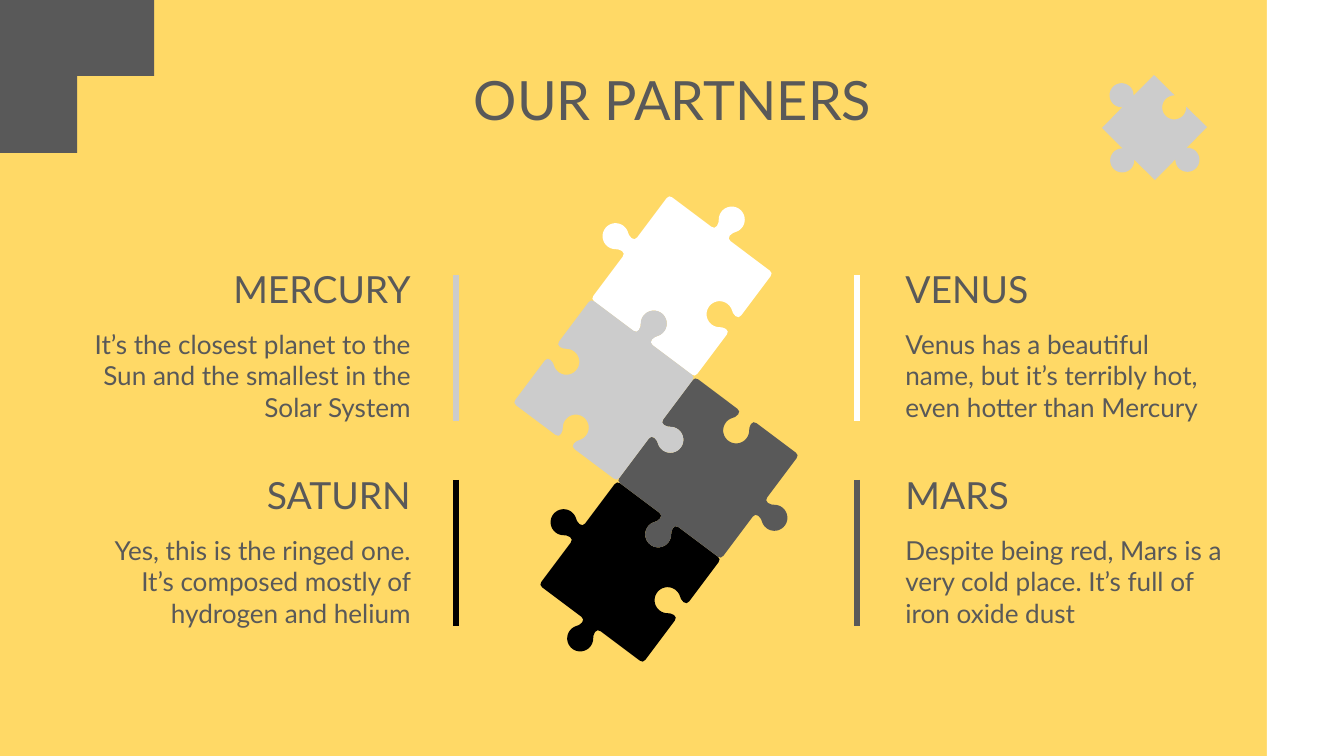
from math import cos, sin, hypot, radians
from pptx import Presentation
from pptx.dml.color import RGBColor
from pptx.enum.shapes import MSO_CONNECTOR as LINE, MSO_SHAPE as SHAPE
from pptx.enum.text import MSO_ANCHOR as ANCHOR, PP_ALIGN as ALIGN
from pptx.oxml.ns import qn
from pptx.util import Emu, Pt

PX = 914400 / 67.2
THEME = {
    "back": RGBColor(0xFF, 0xD9, 0x66),
    "dark": RGBColor(0x59, 0x59, 0x59),
    "grey": RGBColor(0xCC, 0xCC, 0xCC),
    "white": RGBColor(0xFF, 0xFF, 0xFF),
    "black": RGBColor(0, 0, 0),
    "font": "Lato", "title": 58, "head": 40, "body": 28, "rule": 6,
}

prs = Presentation()
prs.slide_width, prs.slide_height = Emu(18288000), Emu(10287000)
slide = prs.slides.add_slide(prs.slide_layouts[6])
slide.background.fill.solid()
slide.background.fill.fore_color.rgb = THEME["back"]
shapes = slide.shapes


def put_text(text, x, y, w, h, size, align=ALIGN.LEFT, anchor=ANCHOR.MIDDLE):
    box = shapes.add_textbox(*(Emu(round(n * PX)) for n in (x, y, w, h)))
    frame = box.text_frame
    frame.word_wrap = True
    frame.vertical_anchor = anchor
    frame.margin_left = frame.margin_right = Emu(182880)
    frame.margin_top = frame.margin_bottom = Emu(182880)
    par = frame.paragraphs[0]
    par.alignment = align
    run = par.add_run()
    run.text = text
    run.font.name = THEME["font"]
    run.font.size = Pt(THEME[size])
    run.font.color.rgb = THEME["dark"]


def add_piece(top, side, knobs, color, radius, rise, start, neck=(), cut=0):
    """Draw a tilted jigsaw piece, clockwise from its top corner.

    side is the vector of the first edge; knobs holds 1 for a tab and -1 for
    a socket on each edge. A knob is a circle, rise above the edge, that
    begins start degrees below its widest part, after the points of neck.
    """
    arc = [(radius * cos(radians(a)), rise + radius * sin(radians(a)))
           for a in (180 + start - i * (180 + 2 * start) / 32 for i in range(33))]
    knob = [(-x, y) for x, y in neck] + arc + list(reversed(neck))
    (x, y), (dx, dy) = top, side
    points = []
    for sign in knobs:
        size = hypot(dx, dy)
        ex, ey = dx / size, dy / size
        local = [(cut / 4, -cut / 4), (cut, 0)]
        local += [(size / 2 + a, sign * b) for a, b in knob]
        local += [(size - cut, 0)]
        points += [(round((x + a * ex + b * ey) * PX),
                    round((y + a * ey - b * ex) * PX)) for a, b in local]
        x, y, dx, dy = x + dx, y + dy, -dy, dx
    path = shapes.build_freeform(*points[0], scale=1.0)
    path.add_line_segments(points[1:], close=True)
    piece = path.convert_to_shape()
    piece.shadow.inherit = False
    piece.fill.solid()
    piece.fill.fore_color.rgb = THEME[color]
    piece.line.fill.background()


# Corner and side band
for kind, x, y, w, h, color, turn in (
    (SHAPE.CORNER, 0, -1, 154, 154, "dark", 90),
    (SHAPE.RECTANGLE, 1267, 0, 77, 756, "white", 0),
):
    shape = shapes.add_shape(kind, *(Emu(round(n * PX)) for n in (x, y, w, h)))
    shape.rotation = turn
    shape.shadow.inherit = False
    shape.fill.solid()
    shape.fill.fore_color.rgb = THEME[color]
    shape.line.fill.background()

# Jigsaw: pieces sit on a tilted grid, counted in columns and rows
add_piece((1154, 75), (53, 52), (-1, 1, 1, 1), "grey", radius=12, rise=9, start=48)
LEFT, TOP = 669, 195
DX, DY = 104, 78
NECK = ((12, 0), (9, 1), (8, 4), (9, 8))
for col, row, color, knobs in (
    (1, 2, "black", (-1, -1, 1, 1)),
    (1, 1, "dark", (-1, 1, 1, -1)),
    (0, 0, "white", (1, -1, -1, 1)),
    (0, 1, "grey", (1, 1, -1, -1)),
):
    corner = (LEFT + col * DX - row * DY, TOP + col * DY + row * DX)
    add_piece(corner, (DX, DY), knobs, color, radius=13, rise=18, start=35,
              neck=NECK, cut=4)

# Partners
put_text("OUR PARTNERS", 106, 65, 1133, 67, "title", ALIGN.CENTER)
HEAD, BODY = 271, 345
for col, row, name, color, text in (
    (0, 0, "MERCURY", "grey",
     "It’s the closest planet to the Sun and the smallest in the Solar System"),
    (1, 0, "VENUS", "white",
     "Venus has a beautiful name, but it’s terribly hot, even hotter than Mercury"),
    (0, 1, "SATURN", "black",
     "Yes, this is the ringed one. It’s composed mostly of hydrogen and helium"),
    (1, 1, "MARS", "dark",
     "Despite being red, Mars is a very cold place. It’s full of iron oxide dust"),
):
    y = 263 + 206 * row
    align = (ALIGN.RIGHT, ALIGN.LEFT)[col]
    put_text(name, (424 - HEAD, 892)[col], y, HEAD, 52, "head", align)
    put_text(text, (424 - BODY, 892)[col], y + 52, BODY, 134, "body", align, ANCHOR.TOP)
    x, start = (456, 857)[col], 275 + 205 * row
    rule = shapes.add_connector(
        LINE.STRAIGHT, *(Emu(round(n * PX)) for n in (x, start, x, start + 146)))
    rule.line.color.rgb = THEME[color]
    rule.line.width = Pt(THEME["rule"])
    props = rule._element.spPr
    props.append(props.makeelement(qn("a:effectLst"), {}))

prs.save("out.pptx")
